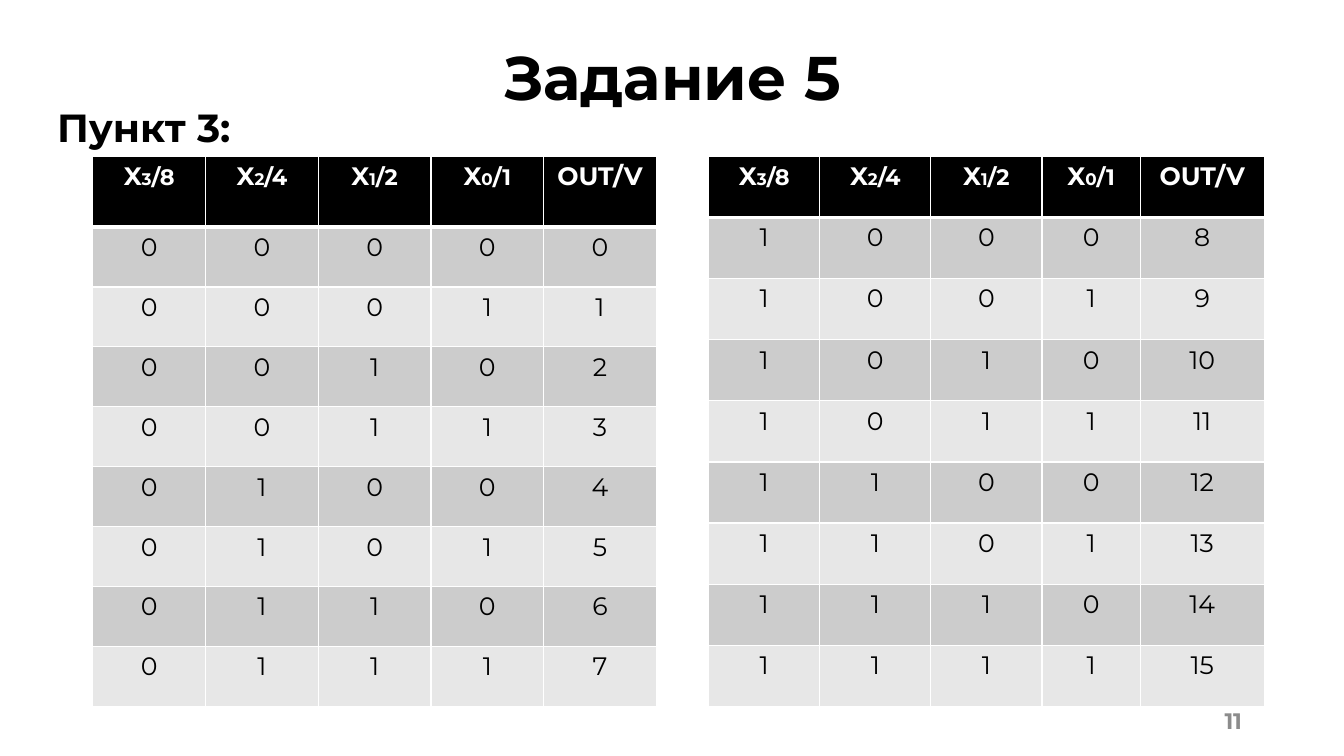
from dataclasses import dataclass
from lxml.etree import SubElement
from pptx import Presentation
from pptx.dml.color import RGBColor as Rgb
from pptx.enum.text import MSO_ANCHOR as Anchor, PP_ALIGN as Align
from pptx.oxml.ns import qn
from pptx.util import Cm, Pt

TITLE = "Задание 5"
POINT = "Пункт 3:"
PAGE = "11"
BITS = (3, 2, 1, 0)
OUT = "OUT/V"
ROWS = 8
TOP = 3.94
TABLES = (
    dict(left=2.34, cols=(2.84,) * 5, head=1.78, body=1.51, first=0),
    dict(left=17.86, cols=(2.8, 2.8, 2.8, 2.48, 3.12), head=1.54, body=1.54, first=8),
)


@dataclass(frozen=True)
class Theme:
    font: str = "Montserrat"
    black: str = "000000"
    white: str = "FFFFFF"
    grey: str = "8C8C8C"
    bands: tuple = ("CCCCCC", "E7E7E7")
    title: int = 44
    point: int = 28
    cell: int = 18
    index: int = 12
    weight: int = 16
    page: int = 16
    thin: int = 1
    thick: int = 3


theme = Theme()


def style(para, size, color, bold, align):
    para.alignment = align
    font = para.font
    font.name, font.bold = theme.font, bold
    font.color.rgb = Rgb.from_string(color)
    if size:
        font.size = Pt(size)


def label(slide, box, text, size, color, align, anchor):
    frame = slide.shapes.add_textbox(*map(Cm, box)).text_frame
    frame.word_wrap = True
    frame.vertical_anchor = anchor
    para = frame.paragraphs[0]
    para.text = text
    style(para, size, color, True, align)
    return para


def edge(cell, widths):
    props = cell._tc.get_or_add_tcPr()
    for side, width in zip("LRTB", widths):
        line = SubElement(props, qn(f"a:ln{side}"), w=str(Pt(width)))
        fill = SubElement(line, qn("a:solidFill"))
        SubElement(fill, qn("a:srgbClr"), val=theme.white)


def paint(cell, runs, fill, color, bold, widths):
    edge(cell, widths)
    cell.fill.solid()
    cell.fill.fore_color.rgb = Rgb.from_string(fill)
    para = cell.text_frame.paragraphs[0]
    sizes = {size for _, size in runs}
    style(para, sizes.pop() if len(sizes) == 1 else None, color, bold, Align.CENTER)
    for text, size in runs:
        run = para.add_run()
        run.text = text
        if sizes:
            run.font.size = Pt(size)


def truth(slide, left, cols, head, body, first):
    size = map(Cm, (left, TOP, sum(cols), head + ROWS * body))
    table = slide.shapes.add_table(ROWS + 1, len(cols), *size).table
    table.first_row = table.horz_banding = False
    for col, width in zip(table.columns, cols):
        col.width = Cm(width)
    for row, height in zip(table.rows, [head] + [body] * ROWS):
        row.height = Cm(height)

    thin, thick = theme.thin, theme.thick
    heads = [
        [("X", theme.cell), (str(bit), theme.index), (f"/{2 ** bit}", theme.weight)]
        for bit in BITS
    ] + [[(OUT, theme.cell)]]
    for col, runs in enumerate(heads):
        paint(table.cell(0, col), runs, theme.black, theme.white, True,
              (thin, thin, thin, thick))

    for row in range(ROWS):
        value = first + row
        above = thin if row else thick
        for col, digit in enumerate([value >> bit & 1 for bit in BITS] + [value]):
            paint(table.cell(row + 1, col), [(str(digit), theme.cell)],
                  theme.bands[row % 2], theme.black, False,
                  (thin, thin, above, thin))


def main():
    deck = Presentation()
    deck.slide_width, deck.slide_height = Cm(33.87), Cm(19.05)
    slide = deck.slides.add_slide(deck.slide_layouts[6])
    title = label(slide, (2.34, 0.99, 29.21, 2.06), TITLE, theme.title,
                  theme.black, Align.CENTER, Anchor.MIDDLE)
    title.line_spacing = 0.9
    label(slide, (1.19, 2.49, 6.48, 1.45), POINT, theme.point,
          theme.black, Align.LEFT, Anchor.TOP)
    for table in TABLES:
        truth(slide, **table)
    label(slide, (23.93, 17.65, 7.62, 1.02), PAGE, theme.page,
          theme.grey, Align.RIGHT, Anchor.MIDDLE)
    deck.save("out.pptx")


if __name__ == "__main__":
    main()
